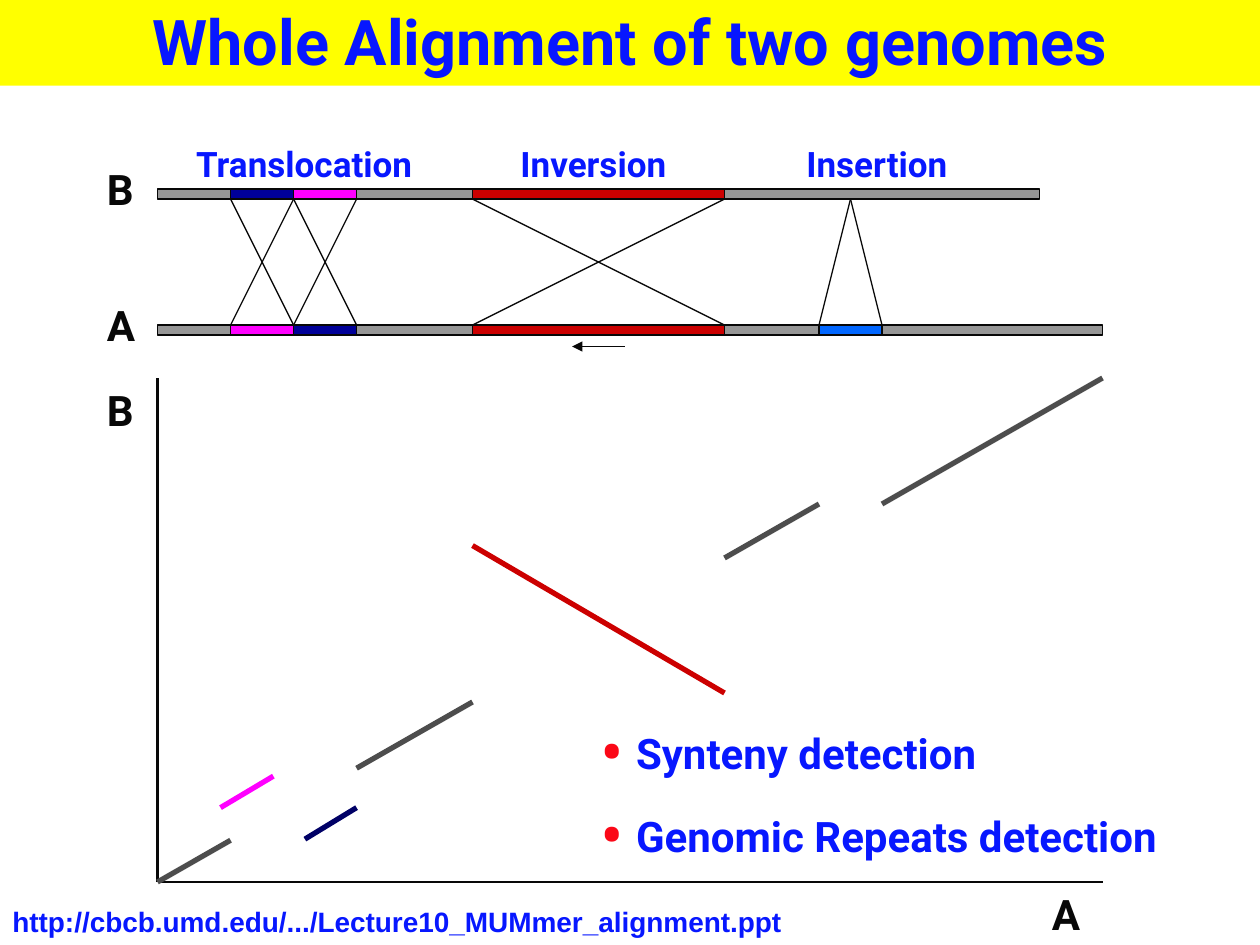
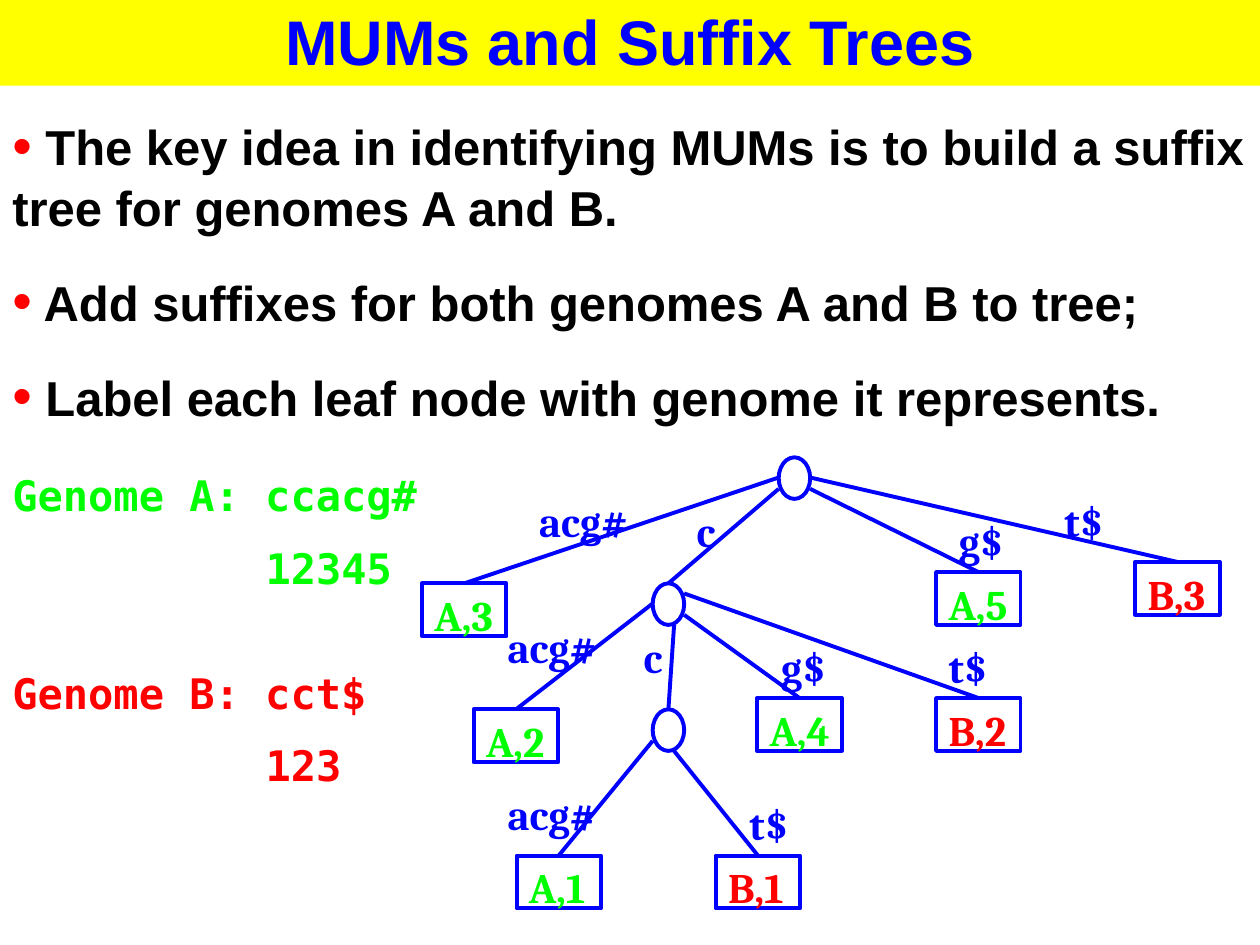
from dataclasses import dataclass
from typing import Optional

from lxml.etree import SubElement
from pptx import Presentation
from pptx.dml.color import RGBColor
from pptx.enum.shapes import MSO_CONNECTOR, MSO_SHAPE
from pptx.enum.text import MSO_ANCHOR, PP_ALIGN
from pptx.oxml.ns import qn
from pptx.util import Inches, Pt


# Shared colours, fonts and type sizes
@dataclass(frozen=True)
class Theme:
    band: str = "FFFF00"
    ink: str = "080808"
    black: str = "000000"
    white: str = "FFFFFF"
    heading: str = "0717FF"
    tree: str = "0000FF"
    grey: str = "969696"
    diagonal: str = "4D4D4D"
    navy: str = "000099"
    dark_navy: str = "000066"
    magenta: str = "FF00FF"
    crimson: str = "CC0000"
    sky: str = "0066FF"
    bullet: str = "FB0817"
    genome_a: str = "00FF00"
    genome_b: str = "FF0000"
    roboto: str = "Roboto"
    arial: str = "Arial"
    serif: str = "Cambria"
    mono: str = "DejaVu Sans Mono"
    title_size: float = 36
    key_size: float = 28
    body_size: float = 24
    label_size: float = 20
    source_size: float = 16


THEME = Theme()


@dataclass(frozen=True)
class Bullet:
    color: str
    percent: int
    indent: float = 0


@dataclass(frozen=True)
class Segment:
    left: float
    width: float
    color: str


@dataclass(frozen=True)
class Match:
    start: tuple[float, float]
    end: tuple[float, float]
    color: str


@dataclass(frozen=True)
class Node:
    """A tree node with the branch that leads to it; leaves have a name."""
    left: float
    top: float
    name: str = ""
    branch_start: Optional[tuple[float, float]] = None
    label: str = ""
    label_at: tuple[float, float] = (0, 0)


# Drawing tools
def write(frame, text: str, *, font: str, size: float, color: str,
          align=PP_ALIGN.LEFT, before: float = 0, line_height: float = 0,
          indent: float = 0, bullet: Optional[Bullet] = None) -> None:
    """Add one bold paragraph to a text frame."""
    first = not frame.paragraphs[0].runs
    para = frame.paragraphs[0] if first else frame.add_paragraph()
    para.alignment = align
    if before and not first:
        para.space_before = Pt(before)
    if line_height:
        para.line_spacing = Pt(line_height)
    properties = para._p.get_or_add_pPr()
    if indent:
        properties.set("marL", str(Inches(indent)))
    if bullet:
        properties.set("marL", str(Inches(bullet.indent)))
        properties.set("indent", str(-Inches(bullet.indent)))
        tint = SubElement(properties, qn("a:buClr"))
        SubElement(tint, qn("a:srgbClr"), val=bullet.color)
        SubElement(properties, qn("a:buSzPct"), val=str(bullet.percent * 1000))
        SubElement(properties, qn("a:buFont"), typeface=font)
        SubElement(properties, qn("a:buChar"), char="•")
    span = para.add_run()
    span.text = text
    span.font.name = font
    span.font.size = Pt(size)
    span.font.bold = True
    span.font.color.rgb = RGBColor.from_string(color)


def add_box(page, left: float, top: float, width: float, height: float):
    """Add an empty text box and return its frame."""
    box = page.shapes.add_textbox(Inches(left), Inches(top),
                                  Inches(width), Inches(height))
    box.text_frame.word_wrap = True
    return box.text_frame


def add_label(page, text: str, left: float, top: float, width: float = 1,
              height: float = 0.5, **text_format) -> None:
    write(add_box(page, left, top, width, height), text, **text_format)


def add_figure(page, left: float, top: float, width: float, height: float,
               fill: str, line: str = "", weight: float = 0.75,
               kind=MSO_SHAPE.RECTANGLE):
    """Add a filled shape and return its text frame."""
    shape = page.shapes.add_shape(kind, Inches(left), Inches(top),
                                  Inches(width), Inches(height))
    shape.shadow.inherit = False
    shape.fill.solid()
    shape.fill.fore_color.rgb = RGBColor.from_string(fill)
    if line:
        shape.line.color.rgb = RGBColor.from_string(line)
        shape.line.width = Pt(weight)
    else:
        shape.line.fill.background()
    frame = shape.text_frame
    frame.word_wrap = True
    frame.vertical_anchor = MSO_ANCHOR.TOP
    return frame


def add_line(page, start: tuple[float, float], end: tuple[float, float],
             color: str, weight: float, arrow: bool = False) -> None:
    line = page.shapes.add_connector(
        MSO_CONNECTOR.STRAIGHT, *(Inches(value) for value in (*start, *end)))
    line.line.color.rgb = RGBColor.from_string(color)
    line.line.width = Pt(weight)
    if arrow:
        SubElement(line.line._get_or_add_ln(), qn("a:tailEnd"), type="triangle")
    SubElement(line._element.spPr, qn("a:effectLst"))


def add_page(deck, title: str, font: str, color: str):
    """Add a blank page with the title band."""
    page = deck.slides.add_slide(deck.slide_layouts[6])
    frame = add_figure(page, 0, 0, 10, 0.68, THEME.band)
    frame.margin_top = Inches(0.02)
    write(frame, title, font=font, size=THEME.title_size, color=color,
          align=PP_ALIGN.CENTER)
    return page


# Slide 1: genome bars above a dot plot
BAR_HEIGHT = 0.08
BAR_B_TOP, BAR_A_TOP = 1.5, 2.58
ORIGIN_X, ORIGIN_Y, PLOT_TOP, PLOT_RIGHT = 1.25, 7, 3, 8.75

BAR_B = [Segment(1.25, 7, THEME.grey), Segment(1.83, 0.5, THEME.navy),
         Segment(2.33, 0.5, THEME.magenta), Segment(3.75, 2, THEME.crimson)]
BAR_A = [Segment(1.25, 7, THEME.grey), Segment(1.83, 0.5, THEME.magenta),
         Segment(2.33, 0.5, THEME.navy), Segment(3.75, 2, THEME.crimson),
         Segment(6.5, 0.5, THEME.sky), Segment(7, 1.75, THEME.grey)]

# Horizontal positions in B and in A that belong together
LINKS = [(1.83, 2.33), (2.33, 2.83), (2.33, 1.83), (2.83, 2.33),
         (3.75, 5.75), (5.75, 3.75), (6.75, 6.5), (6.75, 7)]


def diagonal_point(x: float) -> tuple[float, float]:
    """Point of the main diagonal, which rises 4 inches over 7."""
    return x, ORIGIN_Y - (x - ORIGIN_X) * 4 / 7


MATCHES = [
    *(Match(diagonal_point(start), diagonal_point(end), THEME.diagonal)
      for start, end in ((1.25, 1.83), (2.83, 3.75), (5.75, 6.5))),
    Match((7, 4), (8.75, 3), THEME.diagonal),
    Match((3.75, 4.33), (5.75, 5.5), THEME.crimson),
    Match((1.75, 6.41), (2.17, 6.16), THEME.magenta),
    Match((2.42, 6.66), (2.83, 6.41), THEME.dark_navy),
]


def build_alignment(deck) -> None:
    page = add_page(deck, "Whole Alignment of two genomes",
                    THEME.roboto, THEME.heading)

    # Genome bars and the links between them
    for top, segments in ((BAR_B_TOP, BAR_B), (BAR_A_TOP, BAR_A)):
        for segment in segments:
            add_figure(page, segment.left, top, segment.width, BAR_HEIGHT,
                       segment.color, THEME.ink)
    for in_b, in_a in LINKS:
        add_line(page, (in_b, BAR_B_TOP + BAR_HEIGHT), (in_a, BAR_A_TOP),
                 THEME.ink, 0.75)
    add_line(page, (4.96, 2.75), (4.54, 2.75), THEME.ink, 0.75, arrow=True)
    for text, left, width in (("Translocation", 1.25, 2.33),
                              ("Inversion", 3.75, 1.92),
                              ("Insertion", 6.25, 1.42)):
        add_label(page, text, left, 1.08, width, 0.43, font=THEME.roboto,
                  size=THEME.label_size, color=THEME.heading,
                  align=PP_ALIGN.CENTER)

    # Dot plot
    for axis_end in ((PLOT_RIGHT, ORIGIN_Y), (ORIGIN_X, PLOT_TOP)):
        add_line(page, (ORIGIN_X, ORIGIN_Y), axis_end, THEME.ink, 1.5)
    for match in MATCHES:
        add_line(page, match.start, match.end, match.color, 3)
    for name, left, top in (("B", 0.75, 1.25), ("A", 0.75, 2.33),
                            ("B", 0.75, 3), ("A", 8.25, 7)):
        add_label(page, name, left, top, 0.5, font=THEME.roboto,
                  size=THEME.body_size, color=THEME.ink)

    # Uses and source
    uses = add_box(page, 4.67, 5.47, 5.25, 1.43)
    for text in ("Synteny detection", "Genomic Repeats detection"):
        write(uses, text, font=THEME.roboto, size=THEME.body_size,
              color=THEME.heading, line_height=47.4,
              bullet=Bullet(THEME.bullet, 167, 0.28))
    add_label(page, "http://cbcb.umd.edu/.../Lecture10_MUMmer_alignment.ppt",
              0, 7.13, 6.5, 0.37, font=THEME.arial, size=THEME.source_size,
              color=THEME.heading)


# Slide 2: suffix tree
NODE_WIDTH, NODE_HEIGHT = 0.25, 0.33
LEAF_WIDTH, LEAF_HEIGHT = 0.67, 0.42

KEY_POINTS = [
    " The key idea in identifying MUMs is to build a suffix tree for genomes A and B.",
    " Add suffixes for both genomes A and B to tree;",
    " Label each leaf node with genome it represents.",
]
TREE = [
    Node(6.18, 3.63),
    Node(5.18, 4.63, "", (6.18, 3.88), "c", (5.43, 3.96)),
    Node(5.18, 5.63, "", (5.35, 4.96), "c", (5.01, 4.96)),
    Node(3.35, 4.63, "A,3", (6.18, 3.79), "acg#", (4.18, 3.88)),
    Node(3.76, 5.63, "A,2", (5.18, 4.79), "acg#", (3.93, 4.88)),
    Node(4.1, 6.79, "A,1", (5.18, 5.88), "acg#", (3.93, 6.21)),
    Node(5.68, 6.79, "B,1", (5.35, 5.96), "t$", (5.85, 6.29)),
    Node(6.01, 5.54, "A,4", (5.43, 4.88), "g$", (6.1, 5.04)),
    Node(7.43, 5.54, "B,2", (5.43, 4.71), "t$", (7.43, 5.04)),
    Node(7.43, 4.54, "A,5", (6.43, 3.88), "g$", (7.51, 4.04)),
    Node(9.01, 4.46, "B,3", (6.43, 3.79), "t$", (8.35, 3.88)),
]


def draw_node(page, node: Node) -> None:
    if not node.name:
        add_figure(page, node.left, node.top, NODE_WIDTH, NODE_HEIGHT,
                   THEME.white, THEME.tree, 2.25, MSO_SHAPE.OVAL)
        return
    frame = add_figure(page, node.left, node.top, LEAF_WIDTH, LEAF_HEIGHT,
                       THEME.white, THEME.tree, 2.25)
    frame.margin_right = 0
    color = THEME.genome_a if node.name.startswith("A") else THEME.genome_b
    write(frame, node.name, font=THEME.serif, size=THEME.body_size, color=color)


def draw_branch(page, node: Node) -> None:
    half_width = (LEAF_WIDTH if node.name else NODE_WIDTH) / 2
    if node.branch_start:
        add_line(page, node.branch_start, (node.left + half_width, node.top),
                 THEME.tree, 2.25)
        add_label(page, node.label, *node.label_at, font=THEME.serif,
                  size=THEME.body_size, color=THEME.tree)


def build_suffix_tree(deck) -> None:
    page = add_page(deck, "MUMs and Suffix Trees", THEME.arial, THEME.tree)

    # Key points
    points = add_box(page, 0, 0.87, 10, 2.73)
    for text in KEY_POINTS:
        write(points, text, font=THEME.arial, size=THEME.key_size,
              color=THEME.black, before=20, line_height=34.3,
              bullet=Bullet(THEME.genome_b, 114))

    # Sequences with their positions
    for sequence, positions, top, color in (
            ("Genome A: ccacg#", "12345", 3.68, THEME.genome_a),
            ("Genome B: cct$", "123", 5.25, THEME.genome_b)):
        frame = add_box(page, 0, top, 4.08, 1.1)
        for text, indent in ((sequence, 0), (positions, 2.01)):
            write(frame, text, font=THEME.mono, size=THEME.body_size,
                  color=color, before=12.5, indent=indent)

    # Tree
    for draw in (draw_node, draw_branch):
        for node in TREE:
            draw(page, node)


def main() -> None:
    deck = Presentation()
    deck.slide_width, deck.slide_height = Inches(10), Inches(7.5)
    build_alignment(deck)
    build_suffix_tree(deck)
    deck.save("out.pptx")


if __name__ == "__main__":
    main()
